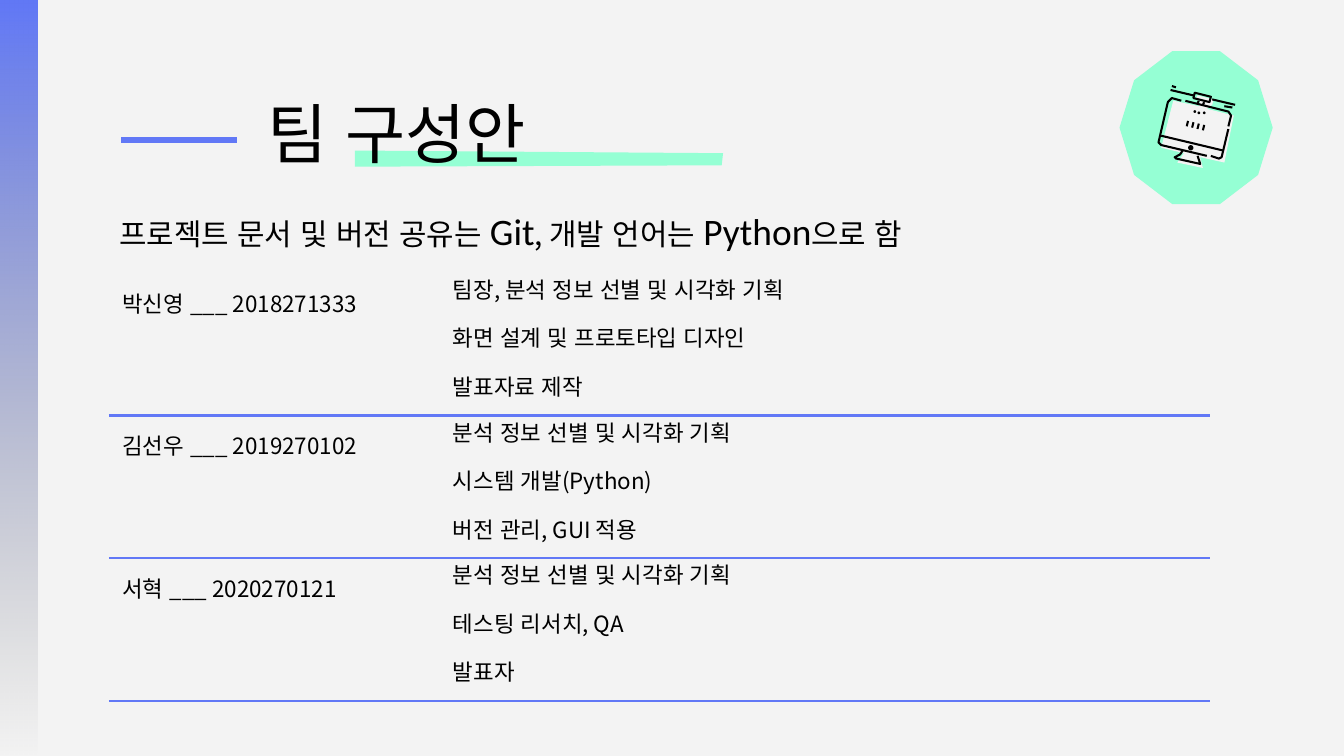
from lxml.etree import SubElement
from pptx import Presentation
from pptx.dml.color import RGBColor
from pptx.enum.lang import MSO_LANGUAGE_ID
from pptx.enum.shapes import MSO_CONNECTOR, MSO_SHAPE
from pptx.oxml.ns import qn
from pptx.util import Inches, Pt

# Content
TITLE = "팀 구성안"
NOTE = [("프로젝트 문서 및 버전 공유는 ", 16), ("Git", 20), (", 개발 언어는 ", 16),
        ("Python", 20), ("으로 함", 16)]
TEAM = [
    ("박신영 ___ 2018271333",
     ["팀장, 분석 정보 선별 및 시각화 기획", "화면 설계 및 프로토타입 디자인", "발표자료 제작"]),
    ("김선우 ___ 2019270102",
     ["분석 정보 선별 및 시각화 기획", "시스템 개발(Python)", "버전 관리, GUI 적용"]),
    ("서혁 ___ 2020270121",
     ["분석 정보 선별 및 시각화 기획", "테스팅 리서치, QA", "발표자"]),
]
COLOR = {"back": "F3F3F3", "blue": "6178F6", "gray": "737373",
         "mint": "95FFD4", "ink": "000000"}
SANS, LATIN = "Noto Sans CJK KR", "Calibri"
COLS, ROW = (2.46, 5.73), 1.06

# Monitor icon: pale body, then dark strokes
BODY = [(8.73, 0.75), (8.92, 0.79), (8.93, 0.76), (8.9, 0.73), (8.91, 0.71),
        (9.03, 0.74), (9.02, 0.78), (8.98, 0.81), (9.18, 0.86), (9.11, 1.21),
        (8.93, 1.17), (8.95, 1.25), (8.76, 1.21), (8.81, 1.14), (8.64, 1.1)]
STROKES = [
    [(8.79, 0.75), (8.72, 0.73), (8.69, 0.76), (8.62, 1.06), (8.64, 1.08), (8.98, 1.16)],
    [(8.64, 1.01), (9.1, 1.12)],
    [(9.14, 0.96), (9.09, 1.17), (9.07, 1.18), (9.01, 1.16)],
    [(8.82, 0.75), (9.14, 0.83), (9.16, 0.86), (9.14, 0.94)],
    [(8.8, 1.12), (8.78, 1.15), (8.74, 1.17), (8.75, 1.18), (8.93, 1.22), (8.91, 1.16)],
    [(8.89, 0.69), (9.01, 0.72), (9.0, 0.76), (8.88, 0.73), (8.89, 0.69)],
    [(8.92, 0.75), (8.91, 0.77)], [(8.96, 0.76), (8.95, 0.78)],
    [(8.71, 0.67), (8.88, 0.71)], [(9.02, 0.74), (9.19, 0.78)],
    [(8.72, 0.64), (8.75, 0.65)], [(9.11, 0.79), (9.17, 0.8)],
] + [[(8.84 + 0.04 * i, 0.9 + 0.01 * i), (8.83 + 0.04 * i, 0.94 + 0.01 * i)]
     for i in range(4)]
DOTS = [(8.88, 0.82, 0.02), (8.91, 0.83, 0.02), (8.95, 0.83, 0.02), (8.84, 1.08, 0.04)]

deck = Presentation()
deck.slide_width, deck.slide_height = Inches(10), Inches(10 * 9 / 16)
slide = deck.slides.add_slide(deck.slide_layouts[6])
shapes = slide.shapes


def rgb(name):
    return RGBColor.from_string(COLOR[name])


def paint(shape, name):
    shape.shadow.inherit = False
    shape.fill.solid()
    shape.fill.fore_color.rgb = rgb(name)
    shape.line.fill.background()


def style(run, size, face=SANS):
    run.font.size = Pt(size)
    run.font.color.rgb = rgb("ink")
    run.font.language_id = MSO_LANGUAGE_ID.KOREAN
    run.font.name = face
    SubElement(run.font._element, qn("a:ea")).set("typeface", face)


def outline(points, close):
    # The builder rounds points to whole units, so work in thousandths
    units = [(round(x * 1000), round(y * 1000)) for x, y in points]
    pen = shapes.build_freeform(*units[0], scale=Inches(1) / 1000)
    pen.add_line_segments(units[1:], close=close)
    return pen.convert_to_shape()


def box(x, y, w, h, right=0.1):
    frame = shapes.add_textbox(*map(Inches, (x, y, w, h))).text_frame
    frame.word_wrap = True
    frame.margin_left = frame.margin_top = frame.margin_bottom = Inches(0.1)
    frame.margin_right = Inches(right)
    return frame


def edge(cell, side, show):
    line = SubElement(cell._tc.get_or_add_tcPr(), qn("a:ln" + side))
    if show:
        line.set("w", str(Pt(1.5)))
        fill = SubElement(line, qn("a:solidFill"))
        SubElement(fill, qn("a:srgbClr")).set("val", COLOR["blue"])
    else:
        SubElement(line, qn("a:noFill"))


# Background and fading side bar
slide.background.fill.solid()
slide.background.fill.fore_color.rgb = rgb("back")
bar = shapes.add_shape(MSO_SHAPE.RECTANGLE, 0, 0, Inches(0.28), deck.slide_height)
paint(bar, "blue")
bar.fill.gradient()
bar.fill.gradient_angle = 270
for stop, name, spot in zip(bar.fill.gradient_stops, ("blue", "gray"), (0, 1)):
    stop.color.rgb = rgb(name)
    stop.position = spot
last = bar._element.spPr.findall(".//" + qn("a:srgbClr"))[-1]
SubElement(last, qn("a:alpha")).set("val", "0")

# Title with dash and highlight
dash = shapes.add_connector(MSO_CONNECTOR.STRAIGHT, *map(Inches, (1.76, 1.04, 0.9, 1.04)))
dash.line.color.rgb = rgb("blue")
dash.line.width = Pt(3)
SubElement(dash._element.spPr, qn("a:effectLst"))
paint(outline([(2.64, 1.12), (2.64, 1.24), (5.37, 1.23), (5.38, 1.14)], True), "mint")
head = box(1.89, 0.59, 7.33, 0.63)
head.text = TITLE
style(head.paragraphs[0].runs[0], 35)

# Team table
table = shapes.add_table(len(TEAM), 2, Inches(0.81), Inches(2.03),
                         Inches(sum(COLS)), Inches(ROW * len(TEAM))).table
table.first_row = table.horz_banding = False
for col, width in zip(table.columns, COLS):
    col.width = Inches(width)
for r, (member, roles) in enumerate(TEAM):
    table.rows[r].height = Inches(ROW)
    for c, lines in enumerate(([member], roles)):
        cell = table.cell(r, c)
        cell.margin_left = cell.margin_right = Inches(0.1)
        cell.margin_top = cell.margin_bottom = Inches(0.1)
        for side, show in (("L", False), ("R", False), ("T", r > 0), ("B", True)):
            edge(cell, side, show)
        cell.fill.background()
        cell.text_frame.text = "\n".join(lines)
        for para in cell.text_frame.paragraphs:
            if c == 1:
                para.line_spacing, para.space_after = Pt(10), Pt(16)
            style(para.runs[0], 12)

# Note under the title
para = box(0.79, 1.45, 8.43, 0.35, 0).paragraphs[0]
for words, size in NOTE:
    run = para.add_run()
    run.text = words
    style(run, size, LATIN if size == 20 else SANS)

# Badge with monitor icon
paint(shapes.add_shape(MSO_SHAPE.DECAGON, *map(Inches, (8.33, 0.38, 1.14, 1.14))), "mint")
paint(outline(BODY, True), "back")
for points in STROKES:
    mark = outline(points, False)
    mark.shadow.inherit = False
    mark.fill.background()
    mark.line.color.rgb = rgb("ink")
    mark.line.width = Pt(1.1)
for x, y, size in DOTS:
    paint(shapes.add_shape(MSO_SHAPE.OVAL, *map(Inches, (x, y, size, size))), "ink")

deck.save("out.pptx")
